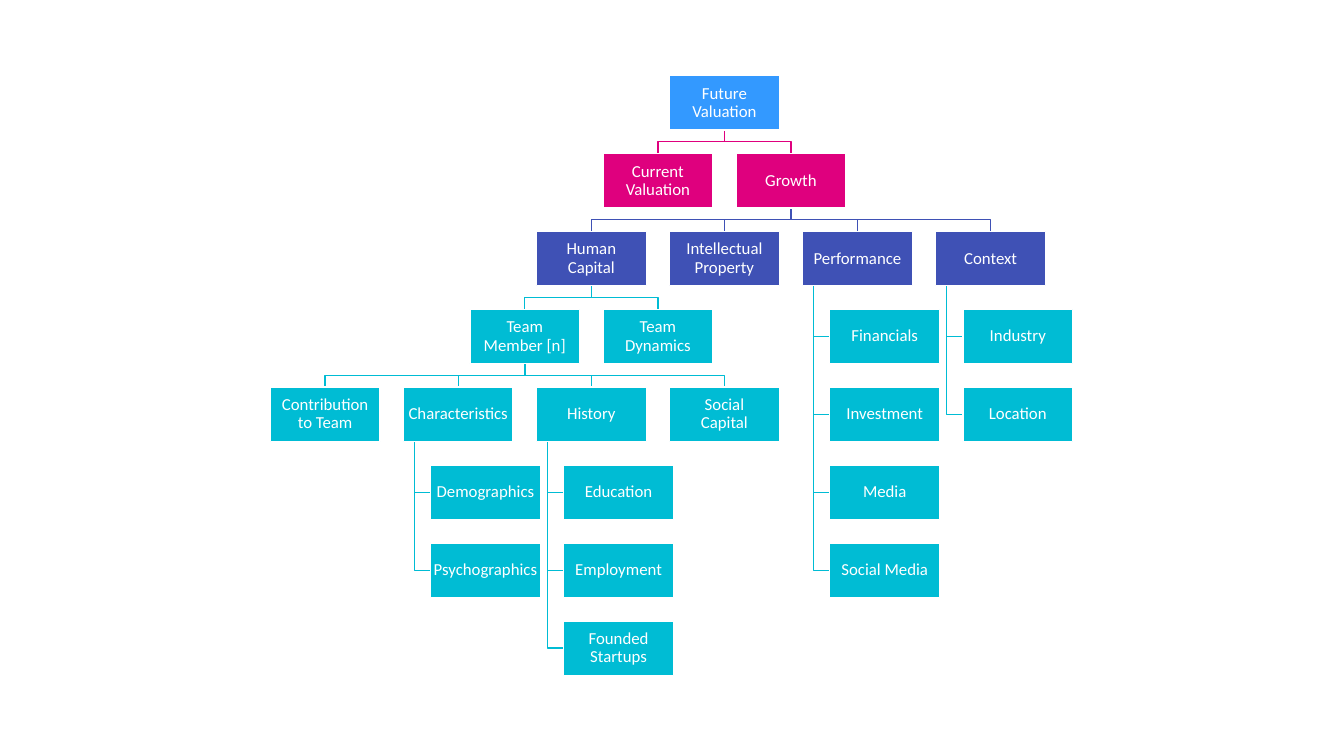
from dataclasses import dataclass

from pptx import Presentation
from pptx.dml.color import RGBColor
from pptx.enum.shapes import MSO_SHAPE
from pptx.enum.text import MSO_ANCHOR, PP_ALIGN
from pptx.util import Inches, Pt

RECT = MSO_SHAPE.RECTANGLE
MIDDLE = MSO_ANCHOR.MIDDLE
CENTER = PP_ALIGN.CENTER

BOX_W, BOX_H = 1.09, 0.54
ROOT_X, ROOT_Y = 6.64, 0.75
HALF_COL = 0.66        # half the distance between neighbouring siblings
ROW = 5.41 / 7         # eight rows, from 0.75 to 6.16
SPINE_X, HANG_X = 0.11, 0.27  # offsets of a hanging list from its parent


@dataclass(frozen=True)
class Theme:
    """Colours, font and sizes of the slide."""
    root: str = "3399FF"
    value: str = "DF007E"
    driver: str = "3F51B5"
    detail: str = "00BCD4"
    white: str = "FFFFFF"
    font: str = "Calibri"
    size: float = 12
    line: float = 1
    spacing: float = 0.9
    inset: float = 0.01


@dataclass
class Node:
    """A box of the tree; hang lists its children below one another."""
    text: str
    color: str
    children: tuple = ()
    hang: bool = False
    x: float = ROOT_X
    y: float = ROOT_Y

    def place(self):
        """Position all descendants from this node's own position."""
        last = len(self.children) - 1
        for i, child in enumerate(self.children):
            if self.hang:
                child.x = self.x + HANG_X
                child.y = self.y + (i + 1) * ROW
            else:
                child.x = self.x + (2 * i - last) * HALF_COL
                child.y = self.y + ROW
            child.place()

    def walk(self):
        """Yield this node and all its descendants."""
        yield self
        for child in self.children:
            yield from child.walk()

    def route(self, child):
        """Return the points of the elbow line down to a child."""
        bottom = self.y + BOX_H
        if self.hang:
            spine, middle = self.x + SPINE_X, child.y + BOX_H / 2
            return [(spine, bottom), (spine, middle), (child.x, middle)]
        start, end = self.x + BOX_W / 2, child.x + BOX_W / 2
        bend = (bottom + child.y) / 2
        return [(start, bottom), (start, bend), (end, bend), (end, child.y)]


def apply(obj, formats):
    """Set attributes from a dict of format values."""
    for name, value in formats.items():
        setattr(obj, name, value)


class Canvas:
    """Holds the theme and the current slide."""

    def __init__(self, s, theme):
        """Keep the slide and its theme."""
        self.s, self.theme = s, theme

    def outline(self, sp, color):
        """Give a shape a plain line and no shadow."""
        sp.shadow.inherit = False
        sp.line.color.rgb = RGBColor.from_string(color)
        sp.line.width = Pt(self.theme.line)

    def elbow(self, points, color):
        """Draw an open line through points given in inches."""
        start, *rest = [(Inches(x), Inches(y)) for x, y in points]
        builder = self.s.shapes.build_freeform(*start)
        builder.add_line_segments(rest, close=False)
        sp = builder.convert_to_shape()
        sp.fill.background()
        self.outline(sp, color)

    def box(self, node):
        """Draw a node as a filled box with centred text."""
        t = self.theme
        sp = self.s.shapes.add_shape(
            RECT, *map(Inches, (node.x, node.y, BOX_W, BOX_H)))
        sp.fill.solid()
        sp.fill.fore_color.rgb = RGBColor.from_string(node.color)
        self.outline(sp, t.white)
        tf = sp.text_frame
        margins = ("margin_left", "margin_top", "margin_right", "margin_bottom")
        apply(tf, dict.fromkeys(margins, Inches(t.inset)))
        apply(tf, {"word_wrap": True, "vertical_anchor": MIDDLE})
        p = tf.paragraphs[0]
        p.text = node.text
        apply(p, {"alignment": CENTER, "line_spacing": t.spacing})
        for r in p.runs:
            apply(r.font, {"name": t.font, "size": Pt(t.size)})
            r.font.color.rgb = RGBColor.from_string(t.white)

    def tree(self, root):
        """Draw the lines of a tree, then its boxes on top."""
        root.place()
        nodes = list(root.walk())
        for node in nodes:
            for child in node.children:
                self.elbow(node.route(child), child.color)
        for node in nodes:
            self.box(node)


def valuation_tree(t):
    """Build the tree of what makes up the future valuation."""
    def detail(text, *children, hang=False):
        """Make a node in the detail colour."""
        return Node(text, t.detail, children, hang)

    def listing(text, *items):
        """Make a detail node with a hanging list of details."""
        return detail(text, *map(detail, items), hang=True)

    def driver(text, *items):
        """Make a driver of growth with a hanging list of details."""
        return Node(text, t.driver, tuple(map(detail, items)), True)

    member = detail(
        "Team\vMember [n]",
        detail("Contribution\vto Team"),
        listing("Characteristics", "Demographics", "Psychographics"),
        listing("History", "Education", "Employment", "Founded Startups"),
        detail("Social\vCapital"))
    growth = Node("Growth", t.value, (
        Node("Human\vCapital", t.driver, (member, detail("Team\vDynamics"))),
        driver("Intellectual Property"),
        driver("Performance", "Financials", "Investment", "Media",
               "Social Media"),
        driver("Context", "Industry", "Location")))
    current = Node("Current Valuation", t.value)
    return Node("Future Valuation", t.root, (current, growth))


def main():
    """Create and save the presentation."""
    prs = Presentation()
    apply(prs, {"slide_width": Inches(13.33), "slide_height": Inches(7.5)})
    s = prs.slides.add_slide(prs.slide_layouts[6])
    theme = Theme()
    Canvas(s, theme).tree(valuation_tree(theme))
    prs.save("out.pptx")


main()
